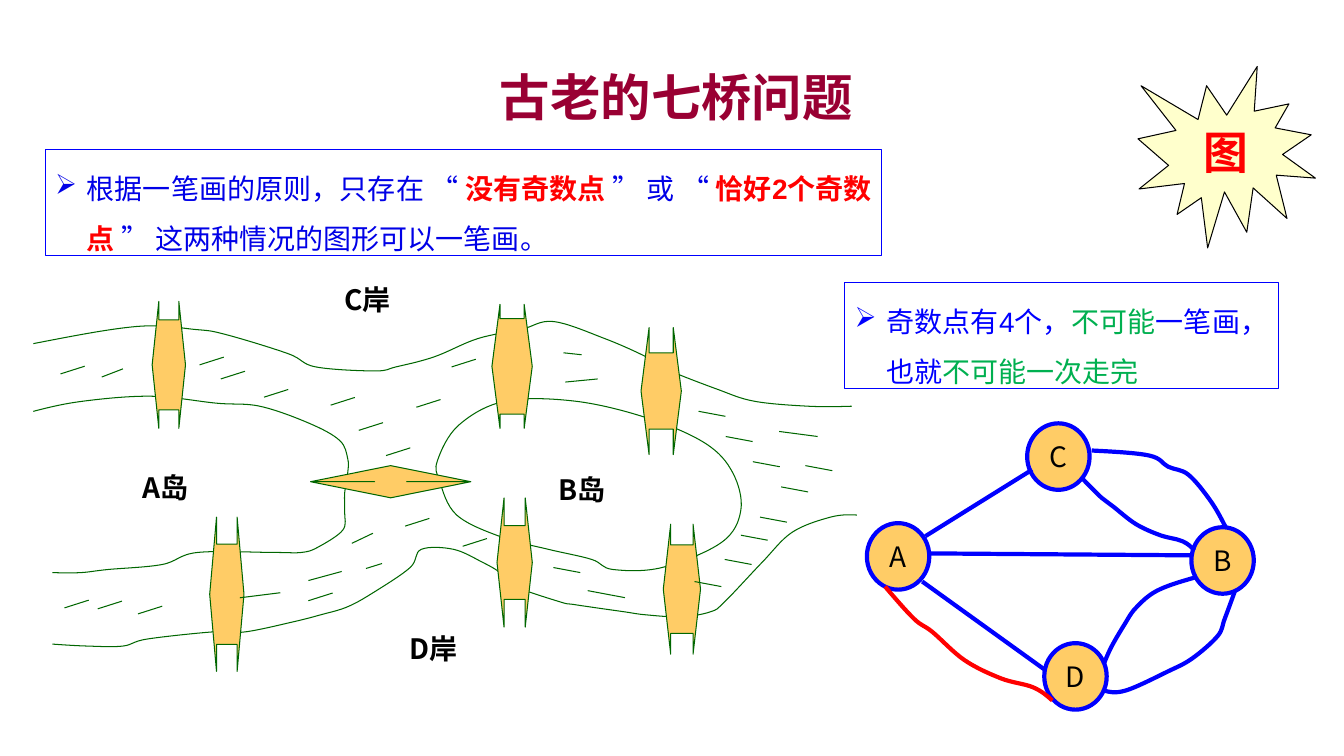
from dataclasses import dataclass
from lxml.etree import SubElement
from pptx import Presentation
from pptx.dml.color import RGBColor
from pptx.enum.shapes import MSO_CONNECTOR as Link, MSO_SHAPE as Preset
from pptx.enum.text import MSO_ANCHOR as Anchor, PP_ALIGN as Align
from pptx.oxml.ns import qn
from pptx.util import Pt

COLORS = {
    "bank": "006600", "wood": "FFCC66", "edge": "0000FF", "note": "0000E7",
    "red": "FF0000", "green": "00B050", "title": "990033", "burst": "FFFFCC",
    "black": "000000",
}
HAN = "Noto Sans CJK SC"
Point = tuple[float, float]


@dataclass
class Curve:
    knots: list[Point]
    color: str = "bank"
    width: float = 0.75
    closed: bool = False


@dataclass
class Bridge:
    left: float
    top: float
    width: float
    height: float
    deck: float
    preset: Preset = Preset.LEFT_RIGHT_ARROW


@dataclass
class Place:
    text: str
    left: float
    top: float
    width: float


@dataclass
class Span:
    text: str
    color: str
    bold: bool = False


@dataclass
class Note:
    left: float
    top: float
    width: float
    spans: list[Span]


BANKS = [
    Curve([(23.8, 245.5), (97.2, 233.3), (139.7, 235.4), (161.3, 239), (205.9, 252.7),
           (225.4, 262.1), (267.8, 265), (283, 262.1), (310.3, 254.9), (341.3, 241.9),
           (372.2, 235.4), (395.3, 229.7), (432, 241.9), (461.5, 254.9), (475.2, 263.5),
           (511.9, 277.9), (538.6, 286.6), (577.4, 290.2), (608.4, 290.2)]),
    Curve([(23.8, 293.8), (59, 286.6), (108, 283), (154.8, 288), (185.8, 290.2),
           (221, 302.4), (242.6, 314.6), (248.4, 327.6), (248.4, 337.7), (246.2, 352.1),
           (246.2, 365.8), (244.8, 378.7), (226.8, 391), (215.3, 394.6), (195.8, 394.6),
           (141.1, 394.6), (115.9, 403.2), (77, 406.8), (57.6, 409), (37.4, 409)]),
    Curve([(37.4, 460.1), (62.6, 461.5), (87.8, 461.5), (105.1, 456.5), (151.9, 451.4),
           (175, 451.4), (209.5, 444.2), (229, 439.2), (248.4, 433.4), (267.8, 422.6),
           (293, 405.4), (301, 392.4), (324, 392.4), (344.9, 401.8), (357.1, 409),
           (364.3, 417.6), (399.6, 429.8), (411.1, 432), (445.7, 437), (461.5, 439.2),
           (486.7, 440.6), (507.6, 437), (517.7, 429.8), (544.3, 401.8), (565.9, 380.2),
           (593.3, 369.4), (612, 367.9)]),
    Curve([(313.9, 343.4), (312.5, 329), (327.6, 303.8), (360.7, 286.6), (411.1, 286.6),
           (463, 298.8), (504, 316.8), (523.4, 337.7), (529.2, 364.3), (515.5, 387.4),
           (473, 405.4), (437.8, 406.8), (422.6, 399.6), (391.7, 392.4), (358.6, 383.8),
           (326.2, 367.9), (313.9, 343.4)], closed=True),
]
BRIDGES = [
    Bridge(108.7, 215.3, 23.8, 90.7, 0.71),
    Bridge(149.8, 369.4, 24.5, 110.2, 0.65),
    Bridge(351.4, 217.4, 28.8, 88.6, 0.77),
    Bridge(457.9, 234, 28.8, 90.7, 0.6),
    Bridge(355, 355.7, 25.2, 92.2, 0.57),
    Bridge(473.8, 374.4, 26.6, 92.9, 0.68),
    Bridge(221.8, 332.6, 114.5, 23, 0.72, Preset.UP_DOWN_ARROW),
]
LABELS = [Place("A岛", 95, 332.6, 79.2), Place("B岛", 391.7, 334.1, 77),
          Place("D岸", 285.1, 447.8, 104.4), Place("C岸", 239, 198, 87.1)]
RIPPLES: dict[Point, list[Point]] = {
    (17.3, -5.5): [(43.2, 267.1), (142.6, 260.6), (46.1, 434.2), (98.6, 438.5),
                   (69.8, 434.9), (236.2, 289.4), (157.7, 270.7), (188.6, 283.7),
                   (220.3, 429.1), (256.3, 307.4), (275.8, 325.4), (297.4, 290.9),
                   (289.4, 375.8), (322.6, 262.1), (330.5, 390.2)],
    (19.2, 3.6): [(499, 293.8), (518.4, 311.8), (537.8, 329.8), (558, 347.8),
                  (575.3, 332.6), (517.7, 399.6), (529.2, 382.3), (542.9, 369.4),
                  (496.1, 415.4), (395.3, 405.4)],
    (15.1, -5.8): [(72.7, 269.3)],
    (28.8, -3.6): [(171.4, 427)],
    (15.1, -7.2): [(251.3, 388.1)],
    (23.8, -6.5): [(220.3, 414.7)],
    (11.5, -3.6): [(261.4, 406.1)],
    (26.6, 5): [(419.8, 421.9)],
    (13, 1.4): [(402.5, 252)],
    (23, -2.2): [(403.9, 272.9)],
    (27.4, 3.6): [(556.6, 308.2)],
}
NODES = [Place("A", 619.2, 373.7, 44.6), Place("D", 745.9, 459.4, 44.6),
         Place("C", 733.7, 302.4, 44.6), Place("B", 851, 376.6, 44.6)]
STRAIGHT_EDGES = [((661, 383), (737.3, 335.5)), ((658.8, 415.4), (745.9, 478.1)),
                  ((664.6, 395.3), (851.8, 396.7))]
CURVED_EDGES = [
    Curve([(779.8, 321.8), (820.8, 325.4), (834.5, 333.4), (848.9, 339.1),
           (864.7, 357.8), (875.5, 376.6)], "edge", 3),
    Curve([(772.6, 341.3), (787, 355.7), (795.6, 362.2), (811.4, 374.4),
           (828.7, 382.3), (844.6, 386.6), (853.2, 393.1)], "edge", 3),
    Curve([(882, 422.6), (874.8, 442.1), (869.8, 454.3), (851.8, 470.2),
           (834.5, 479.5), (804.2, 493.2), (788.4, 493.2)], "edge", 3),
    Curve([(788.4, 474.5), (794.2, 461.5), (803.5, 445.7), (811.4, 434.2),
           (826.6, 421.9), (853.2, 412.6)], "edge", 3),
    Curve([(632.2, 419), (653, 442.1), (666, 451.4), (689, 471.6), (715, 484.6),
           (738, 491), (751.7, 500.4)], "red", 3),
]
NOTES = [
    Note(32.4, 106.6, 597.6, [
        Span("根据一笔画的原则，只存在 “ ", "note"), Span("没有奇数点 ", "red", True),
        Span("” 或 “ ", "note"), Span("恰好2个奇数点", "red", True),
        Span(" ” 这两种情况的图形可以一笔画。", "note")]),
    Note(603.4, 201.6, 309.6, [
        Span("奇数点有4个，", "edge"), Span("不可能", "green"),
        Span("一笔画，也就", "edge"), Span("不可能一次走完", "green")]),
]


def rgb(name: str) -> RGBColor:
    return RGBColor.from_string(COLORS[name])


def paint(shape, fill: str | None, line: str, width: float = 0.75) -> None:
    shape.shadow.inherit = False
    if fill:
        shape.fill.solid()
        shape.fill.fore_color.rgb = rgb(fill)
    else:
        shape.fill.background()
    shape.line.color.rgb = rgb(line)
    shape.line.width = Pt(width)


def write(para, span: Span, size: float = 20, font: str = HAN) -> None:
    run = para.add_run()
    run.text = span.text
    run.font.name, run.font.size, run.font.bold = font, Pt(size), span.bold
    run.font.color.rgb = rgb(span.color)
    SubElement(run.font._element, qn("a:ea"), typeface=HAN)


def draw_curve(page, curve: Curve) -> None:
    knots = [(Pt(x), Pt(y)) for x, y in curve.knots]
    builder = page.shapes.build_freeform(*knots[0])
    builder.add_line_segments(knots[1:], close=curve.closed)
    shape = builder.convert_to_shape()
    paint(shape, None, curve.color, curve.width)
    local = [(x - shape.left, y - shape.top) for x, y in knots]
    before = local[-2] if curve.closed else None
    after = local[1] if curve.closed else None
    padded = [before, *local, after]
    for i, segment in enumerate(list(shape._element.iter(qn("a:lnTo")))):
        previous, start, end, following = padded[i:i + 4]
        leave = previous and [s + (e - p) / 6 for p, s, e in zip(previous, start, end)]
        arrive = following and [e - (f - s) / 6 for s, e, f in zip(start, end, following)]
        leave = leave or [(s + a) / 2 for s, a in zip(start, arrive)]
        arrive = arrive or [(e + v) / 2 for e, v in zip(end, leave)]
        segment.tag = qn("a:cubicBezTo")
        segment.clear()
        for x, y in (leave, arrive, end):
            SubElement(segment, qn("a:pt"), x=str(round(x)), y=str(round(y)))


def draw_line(page, start: Point, end: Point, color: str, width: float) -> None:
    line = page.shapes.add_connector(Link.STRAIGHT, *map(Pt, (*start, *end)))
    line.line.color.rgb = rgb(color)
    line.line.width = Pt(width)
    SubElement(line._element.spPr, qn("a:effectLst"))


def draw_bridge(page, bridge: Bridge) -> None:
    shape = page.shapes.add_shape(
        bridge.preset, Pt(bridge.left), Pt(bridge.top), Pt(bridge.width), Pt(bridge.height))
    shape.adjustments[0], shape.adjustments[1] = bridge.deck, 0.2
    paint(shape, "wood", "bank")


def draw_label(page, place: Place) -> None:
    box = page.shapes.add_textbox(Pt(place.left), Pt(place.top), Pt(place.width), Pt(31.7))
    box.text_frame.word_wrap = True
    write(box.text_frame.paragraphs[0], Span(place.text, "black", True))


def draw_node(page, place: Place) -> None:
    node = page.shapes.add_shape(
        Preset.OVAL, Pt(place.left), Pt(place.top), Pt(place.width), Pt(47.5))
    paint(node, "wood", "edge", 3)
    node.text_frame.word_wrap = False
    write(node.text_frame.paragraphs[0], Span(place.text, "black"))


def draw_note(page, note: Note) -> None:
    box = page.shapes.add_shape(
        Preset.RECTANGLE, Pt(note.left), Pt(note.top), Pt(note.width), Pt(75.6))
    paint(box, None, "edge")
    box.text_frame.vertical_anchor = Anchor.TOP
    para = box.text_frame.paragraphs[0]
    para.alignment, para.line_spacing, para.space_before = Align.JUSTIFY, 1.5, Pt(6)
    layout = para._p.get_or_add_pPr()
    layout.set("marL", str(Pt(22.5)))
    layout.set("indent", str(Pt(-22.5)))
    SubElement(layout, qn("a:buChar"), char="➢")
    for span in note.spans:
        write(para, span, font="Arial")


def draw_title(page) -> None:
    title = page.shapes.title
    title.left, title.top, title.width, title.height = map(Pt, (72, 41.8, 822.2, 54))
    title.text_frame.vertical_anchor = Anchor.MIDDLE
    para = title.text_frame.paragraphs[0]
    para.alignment = Align.CENTER
    write(para, Span("古老的七桥问题", "title", True), 36)


def draw_burst(page) -> None:
    burst = page.shapes.add_shape(Preset.EXPLOSION1, *map(Pt, (812.9, 47.5, 126.7, 129.6)))
    paint(burst, "burst", "black")
    write(burst.text_frame.paragraphs[0], Span("图", "red", True), 32, "Times New Roman")


def main() -> None:
    deck = Presentation()
    deck.slide_width, deck.slide_height = Pt(960), Pt(540)
    page = deck.slides.add_slide(deck.slide_layouts[5])
    draw_title(page)
    for draw, items in ((draw_curve, BANKS), (draw_bridge, BRIDGES), (draw_label, LABELS)):
        for item in items:
            draw(page, item)
    for (dx, dy), starts in RIPPLES.items():
        for x, y in starts:
            draw_line(page, (x, y), (x + dx, y + dy), "bank", 0.75)
    for node in NODES:
        draw_node(page, node)
    for start, end in STRAIGHT_EDGES:
        draw_line(page, start, end, "edge", 3)
    for edge in CURVED_EDGES:
        draw_curve(page, edge)
    draw_burst(page)
    for note in NOTES:
        draw_note(page, note)
    deck.save("out.pptx")


if __name__ == "__main__":
    main()
